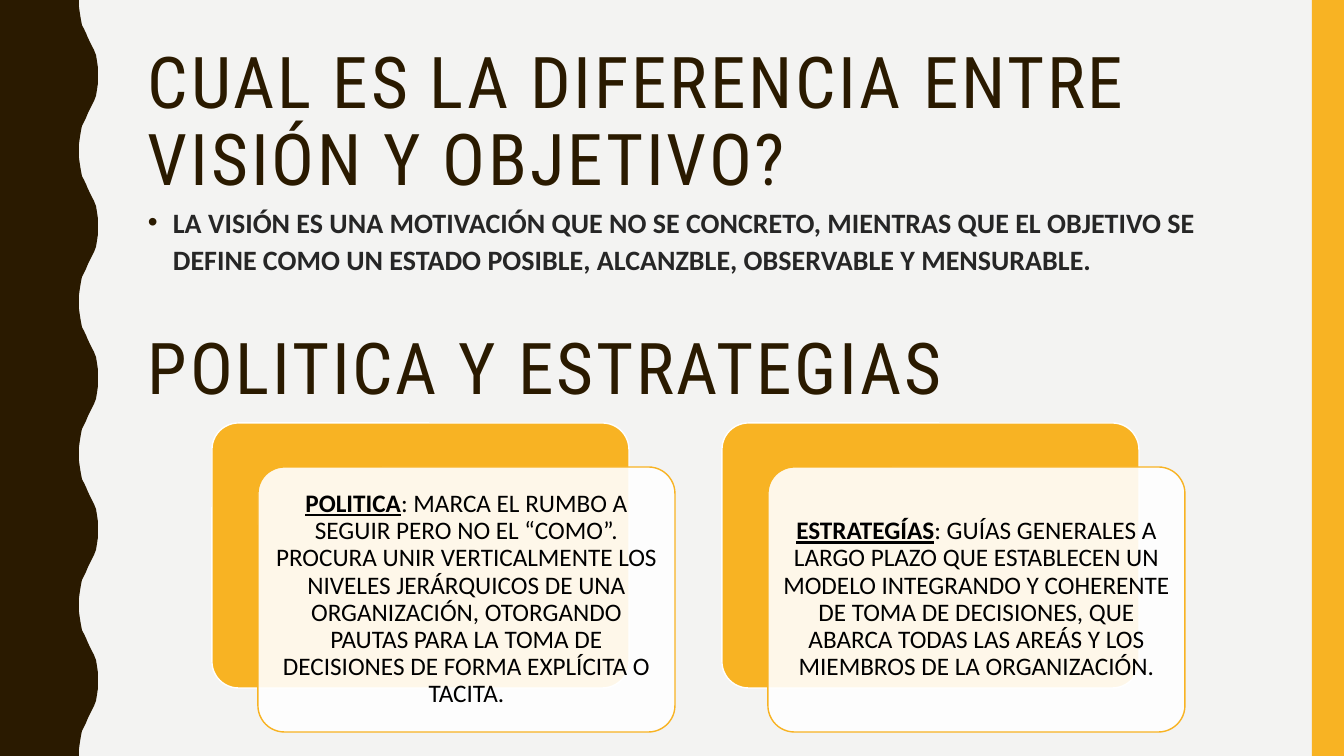
from dataclasses import dataclass

from lxml import etree
from pptx import Presentation
from pptx.dml.color import RGBColor
from pptx.enum.shapes import MSO_SHAPE
from pptx.enum.text import MSO_ANCHOR, PP_ALIGN
from pptx.oxml.ns import qn
from pptx.util import Pt

RECTANGLE = MSO_SHAPE.RECTANGLE
ROUNDED = MSO_SHAPE.ROUNDED_RECTANGLE
MIDDLE = MSO_ANCHOR.MIDDLE
CENTER = PP_ALIGN.CENTER
SCALE = 914400 / 100.8


@dataclass(frozen=True)
class Theme:
    background: RGBColor = RGBColor.from_string("F3F3F2")
    brown: RGBColor = RGBColor.from_string("2A1A00")
    amber: RGBColor = RGBColor.from_string("F8B323")
    white: RGBColor = RGBColor.from_string("FFFFFF")
    black: RGBColor = RGBColor.from_string("000000")
    gray: RGBColor = RGBColor.from_string("262626")
    heading_font: str = "Roboto Condensed"
    body_font: str = "Calibri"
    heading_size: Pt = Pt(51)
    answer_size: Pt = Pt(20)
    card_size: Pt = Pt(18)


theme = Theme()


def px(*lengths):
    return [round(length * SCALE) for length in lengths]


def paint(shape, fill, line=None):
    shape.shadow.inherit = False
    shape.fill.solid()
    shape.fill.fore_color.rgb = fill
    if line is None:
        shape.line.fill.background()
    else:
        shape.line.color.rgb = line
        shape.line.width = Pt(1)


deck = Presentation()
deck.slide_width, deck.slide_height = px(1344, 756)
slide = deck.slides.add_slide(deck.slide_layouts[6])
slide.background.fill.solid()
slide.background.fill.fore_color.rgb = theme.background
shapes = slide.shapes

crest = [(79, 0), (79, 7), (80, 14), (81, 20), (82, 25), (84, 29), (86, 33), (88, 38),
         (90, 42), (92, 46), (94, 50), (96, 55), (97, 61), (98, 68), (98, 76)]
wave_count = 5
wave_height = 756 / wave_count
wave_points = []
for wave in range(wave_count):
    top = wave * wave_height
    wave_points += [(x, round(top + y)) for x, y in crest]
    wave_points += [(x, round(top + wave_height - y)) for x, y in reversed(crest[:-1])]
outline = shapes.build_freeform(0, 0, scale=SCALE)
outline.add_line_segments(wave_points + [(0, 756)], close=True)
paint(outline.convert_to_shape(), theme.brown)

paint(shapes.add_shape(RECTANGLE, *px(1312, 0, 32, 756)), theme.amber)

headings = [(42, "CUAL ES LA DIFERENCIA ENTRE VISIÓN Y OBJETIVO?"),
            (328, "POLITICA Y ESTRATEGIAS")]
for top, wording in headings:
    frame = shapes.add_textbox(*px(138, top, 1122, 164)).text_frame
    frame.word_wrap = True
    frame.text = wording
    heading = frame.paragraphs[0]
    heading.line_spacing = 0.9
    run = heading.runs[0]
    run.font.name = theme.heading_font
    run.font.size = theme.heading_size
    run.font.color.rgb = theme.brown
    run.font._element.set("spc", "200")

cards = [
    ("POLITICA", ": MARCA EL RUMBO A SEGUIR PERO NO EL “COMO”. PROCURA UNIR VERTICALMENTE LOS "
     "NIVELES JERÁRQUICOS DE UNA ORGANIZACIÓN, OTORGANDO PAUTAS PARA LA TOMA DE DECISIONES "
     "DE FORMA EXPLÍCITA O TACITA."),
    ("ESTRATEGÍAS", ": GUÍAS GENERALES A LARGO PLAZO QUE ESTABLECEN UN MODELO INTEGRANDO Y "
     "COHERENTE DE TOMA DE DECISIONES, QUE ABARCA TODAS LAS AREÁS Y LOS MIEMBROS DE LA "
     "ORGANIZACIÓN."),
]
for column, (term, definition) in enumerate(cards):
    left = 212 + column * 510
    backing = shapes.add_shape(ROUNDED, *px(left, 423, 417, 265))
    backing.adjustments[0] = 0.1
    paint(backing, theme.amber, theme.white)

    card = shapes.add_shape(ROUNDED, *px(left + 46, 467, 417, 265))
    card.adjustments[0] = 0.1
    paint(card, theme.white, theme.amber)
    card_color = card.fill._xPr.find(qn("a:solidFill"))[0]
    etree.SubElement(card_color, qn("a:alpha"), val="90000")

    frame = card.text_frame
    frame.word_wrap = True
    frame.vertical_anchor = MIDDLE
    frame.margin_left, frame.margin_top, frame.margin_right, frame.margin_bottom = px(7, 7, 7, 7)
    paragraph = frame.paragraphs[0]
    paragraph.alignment = CENTER
    paragraph.line_spacing = 0.9
    for wording, emphasis in ((term, True), (definition, False)):
        run = paragraph.add_run()
        run.text = wording
        run.font.name = theme.body_font
        run.font.size = theme.card_size
        run.font.color.rgb = theme.black
        run.font.bold = emphasis
        run.font.underline = emphasis

frame = shapes.add_textbox(*px(138, 197, 1122, 143)).text_frame
frame.word_wrap = True
frame.text = ("LA VISIÓN ES UNA MOTIVACIÓN QUE NO SE CONCRETO, MIENTRAS QUE EL OBJETIVO SE "
              "DEFINE COMO UN ESTADO POSIBLE, ALCANZBLE, OBSERVABLE Y MENSURABLE.")
answer = frame.paragraphs[0]
indent, = px(25)
properties = answer._p.get_or_add_pPr()
properties.set("marL", str(indent))
properties.set("indent", str(-indent))
bullet_color = etree.SubElement(properties, qn("a:buClr"))
etree.SubElement(bullet_color, qn("a:srgbClr"), val=str(theme.brown))
etree.SubElement(properties, qn("a:buFont"), typeface="Arial")
etree.SubElement(properties, qn("a:buChar"), char="•")
answer.line_spacing = 1.1
run = answer.runs[0]
run.font.name = theme.body_font
run.font.size = theme.answer_size
run.font.bold = True
run.font.color.rgb = theme.gray

deck.save("out.pptx")
